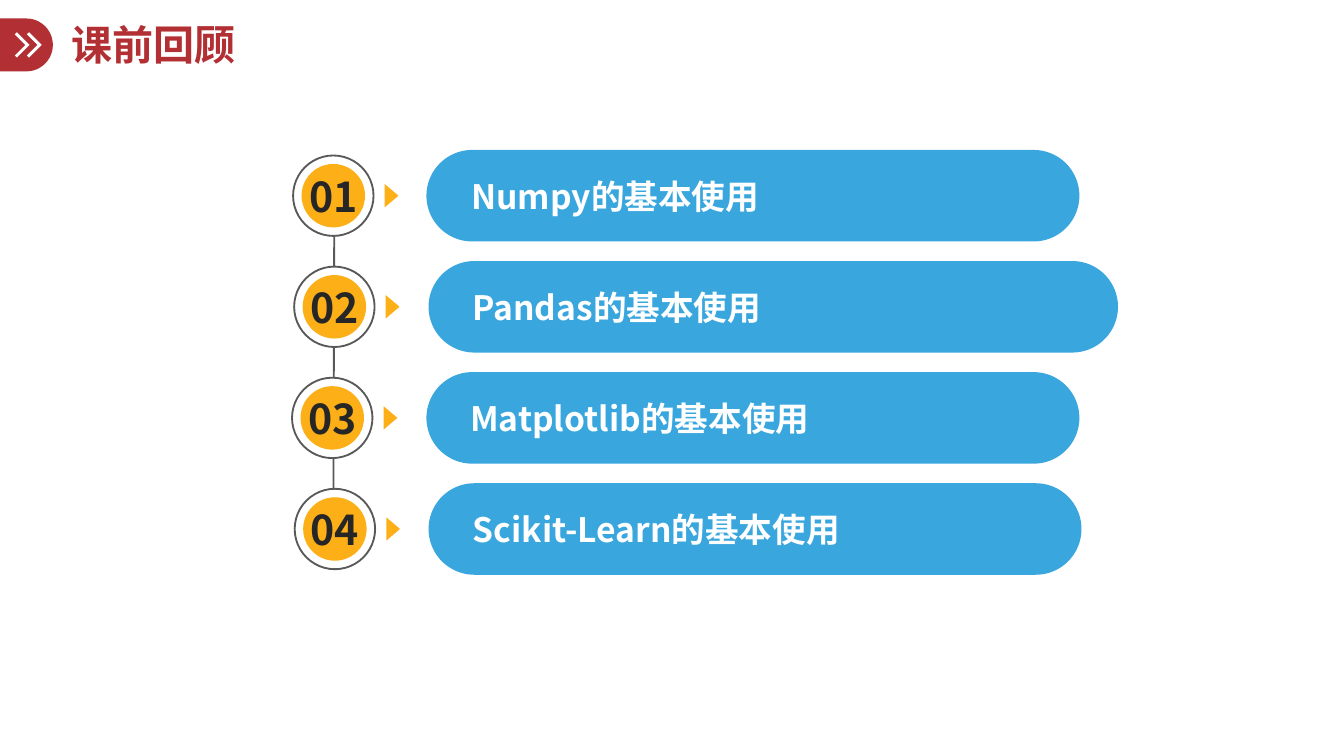
import pptx
import pptx.dml.color
import pptx.enum.shapes
import pptx.enum.text
import pptx.oxml.ns
import pptx.util
from lxml import etree

Cm = pptx.util.Cm
SHAPE = pptx.enum.shapes.MSO_SHAPE
ALIGN = pptx.enum.text.PP_ALIGN
FONT = "Noto Sans CJK SC"
RED, BLUE, ORANGE = "B22F33", "39A6DE", "FDAF17"
WHITE, GRAY, DARK = "FFFFFF", "595959", "262626"

# Vertical rhythm of the list, in cm
FIRST_CENTER, ROW_PITCH = 3.7, 2.1
BAR_HEIGHT, RING_SIZE, DISC_SIZE = 1.73, 1.52, 1.2

# Number, topic, badge left, bar left, bar width (cm)
TOPICS = [
    ("01", "Numpy的基本使用", 5.54, 8.06, 12.34),
    ("02", "Pandas的基本使用", 5.56, 8.1, 13.03),
    ("03", "Matplotlib的基本使用", 5.52, 8.06, 12.34),
    ("04", "Scikit-Learn的基本使用", 5.57, 8.1, 12.34),
]


def color(hex_code):
    return pptx.dml.color.RGBColor.from_string(hex_code)


def style_shape(shape, fill, line=None):
    shape.shadow.inherit = False
    shape.fill.solid()
    shape.fill.fore_color.rgb = color(fill)
    if line:
        shape.line.color.rgb = color(line)
        shape.line.width = pptx.util.Pt(1)
    else:
        shape.line.fill.background()


def add_shape(slide, kind, center_x, center_y, width, height, fill, line=None):
    shape = slide.shapes.add_shape(
        kind, Cm(center_x - width / 2), Cm(center_y - height / 2),
        Cm(width), Cm(height))
    style_shape(shape, fill, line)
    return shape


def add_text(slide, text, left, center_y, width, height, size, text_color,
             align=ALIGN.LEFT, wrap=True, margin=0.25):
    box = slide.shapes.add_textbox(
        Cm(left), Cm(center_y - height / 2), Cm(width), Cm(height))
    frame = box.text_frame
    frame.word_wrap = wrap
    frame.vertical_anchor = pptx.enum.text.MSO_ANCHOR.MIDDLE
    frame.margin_left = frame.margin_right = Cm(margin)
    frame.margin_top = frame.margin_bottom = 0
    paragraph = frame.paragraphs[0]
    paragraph.text = text
    paragraph.alignment = align
    font = paragraph.font
    font.name, font.size, font.bold = FONT, pptx.util.Pt(size), True
    font.color.rgb = color(text_color)
    # East Asian typeface follows the Latin one
    latin = paragraph._p.find(".//" + pptx.oxml.ns.qn("a:latin"))
    east_asian = etree.Element(pptx.oxml.ns.qn("a:ea"), typeface=FONT)
    latin.addnext(east_asian)
    return paragraph


def add_line(slide, start_x, start_y, end_x, end_y):
    line = slide.shapes.add_connector(
        pptx.enum.shapes.MSO_CONNECTOR.STRAIGHT,
        Cm(start_x), Cm(start_y), Cm(end_x), Cm(end_y))
    line.line.color.rgb = color(GRAY)
    line.line.width = pptx.util.Pt(1)
    etree.SubElement(line._element.spPr, pptx.oxml.ns.qn("a:effectLst"))


def add_chevron(slide, left, center_y):
    outline = [(0, -0.2), (0.04, -0.24), (0.28, 0),
               (0.04, 0.24), (0, 0.2), (0.2, 0)]
    points = [(Cm(left + x), Cm(center_y + y)) for x, y in outline]
    builder = slide.shapes.build_freeform(*points[0])
    builder.add_line_segments(points[1:], close=True)
    style_shape(builder.convert_to_shape(), WHITE)


def add_header(slide, title):
    add_shape(slide, SHAPE.FLOWCHART_DELAY, 0.5, 0.85, 1, 1, RED)
    for left in (0.28, 0.51):
        add_chevron(slide, left, 0.85)
    paragraph = add_text(slide, title, 1.1, 0.89, 18.54, 1.02, 22, RED)
    paragraph.line_spacing = 0.9


def add_topic(slide, center_y, number, topic, badge_left, bar_left, bar_width):
    badge_x = badge_left + RING_SIZE / 2

    # Bar with its label
    bar = add_shape(slide, SHAPE.ROUNDED_RECTANGLE, bar_left + bar_width / 2,
                    center_y, bar_width, BAR_HEIGHT, BLUE)
    bar.adjustments[0] = 0.5
    add_text(slide, topic, badge_left + 3.12, center_y, 10.5, 1.02, 18, WHITE)

    # Numbered badge and pointer
    add_shape(slide, SHAPE.OVAL, badge_x, center_y,
              RING_SIZE, RING_SIZE, WHITE, GRAY)
    add_shape(slide, SHAPE.OVAL, badge_x, center_y,
              DISC_SIZE, DISC_SIZE, ORANGE)
    add_text(slide, number, badge_left + 0.02, center_y, 1.48, DISC_SIZE,
             22, DARK, ALIGN.CENTER, wrap=False, margin=0)
    pointer = add_shape(slide, SHAPE.ISOSCELES_TRIANGLE, badge_left + 1.86,
                        center_y, 0.44, 0.26, ORANGE)
    pointer.rotation = 90


def main():
    presentation = pptx.Presentation()
    presentation.slide_width = Cm(25.4)
    presentation.slide_height = Cm(14.29)
    slide = presentation.slides.add_slide(presentation.slide_layouts[6])

    add_header(slide, "课前回顾")

    # Spine behind the badges, then one row per topic
    add_line(slide, 6.32, 3.1, 6.3, 10.13)
    for index, topic in enumerate(TOPICS):
        add_topic(slide, FIRST_CENTER + index * ROW_PITCH, *topic)

    presentation.save("out.pptx")


if __name__ == "__main__":
    main()
